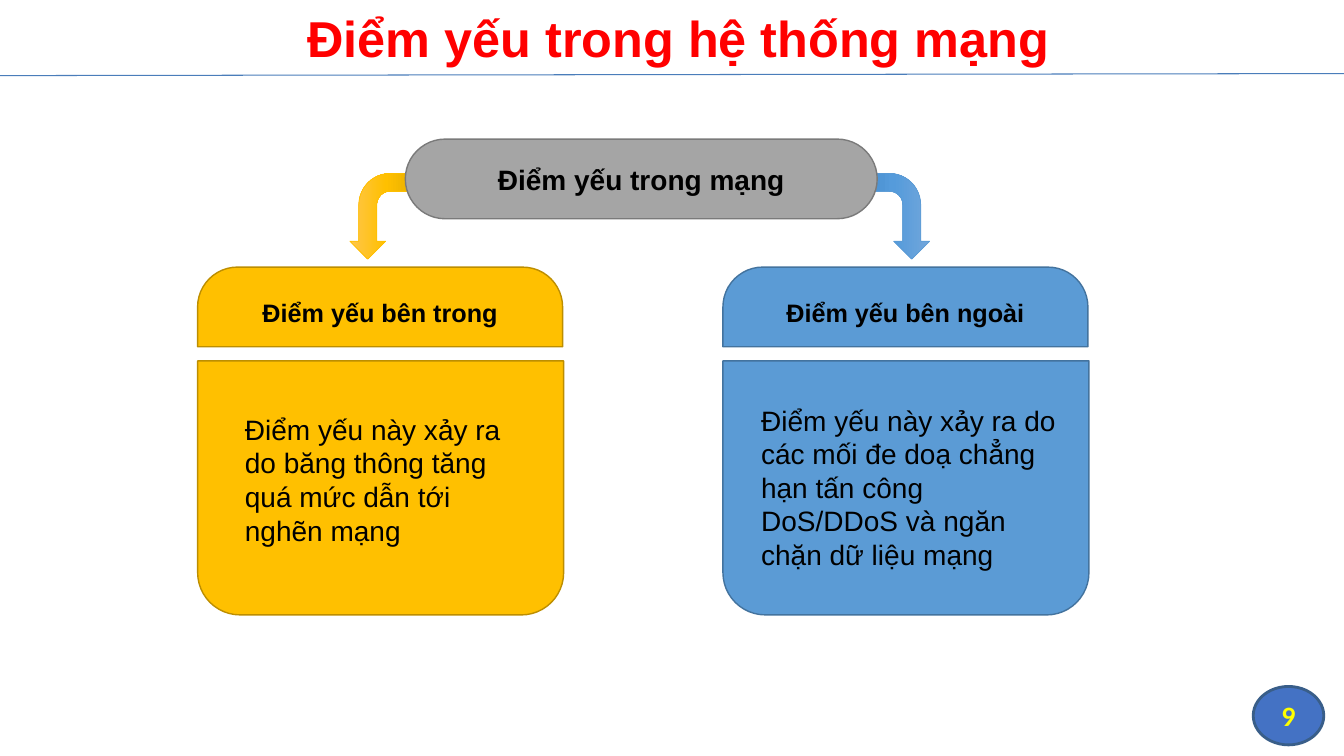
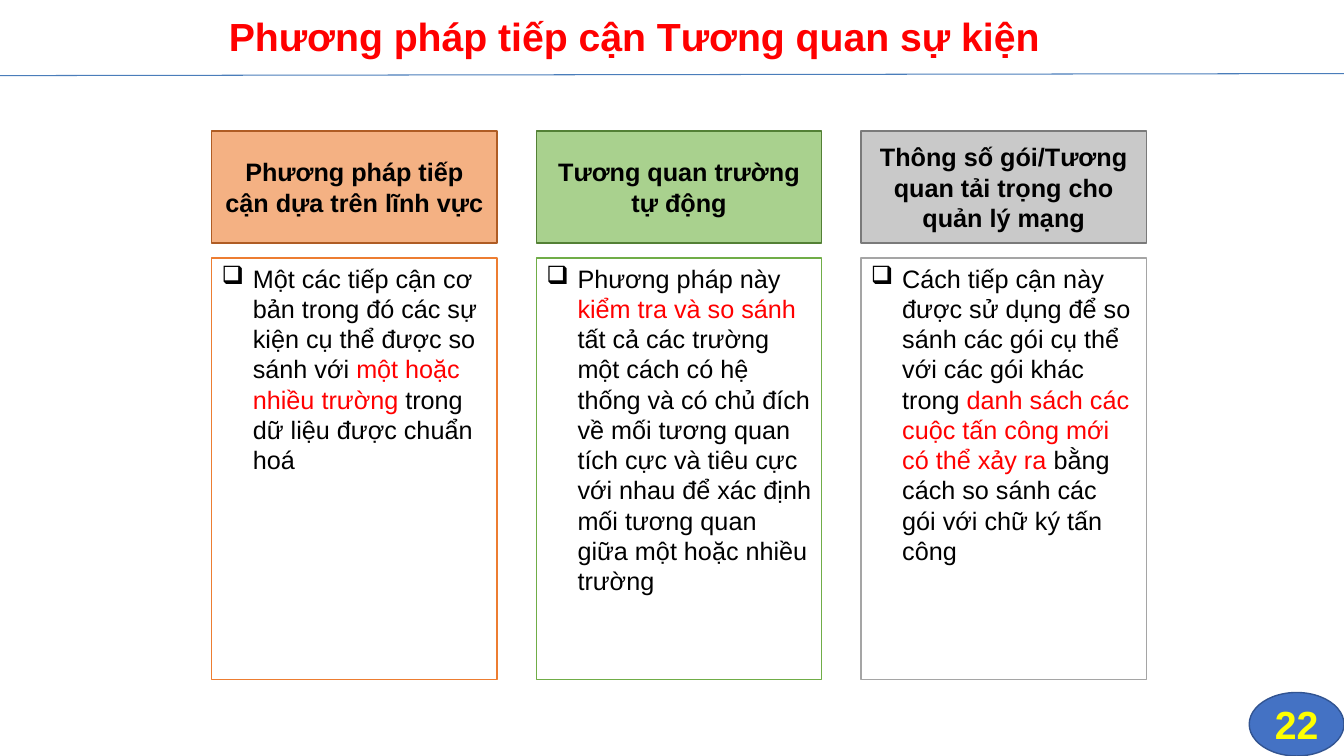
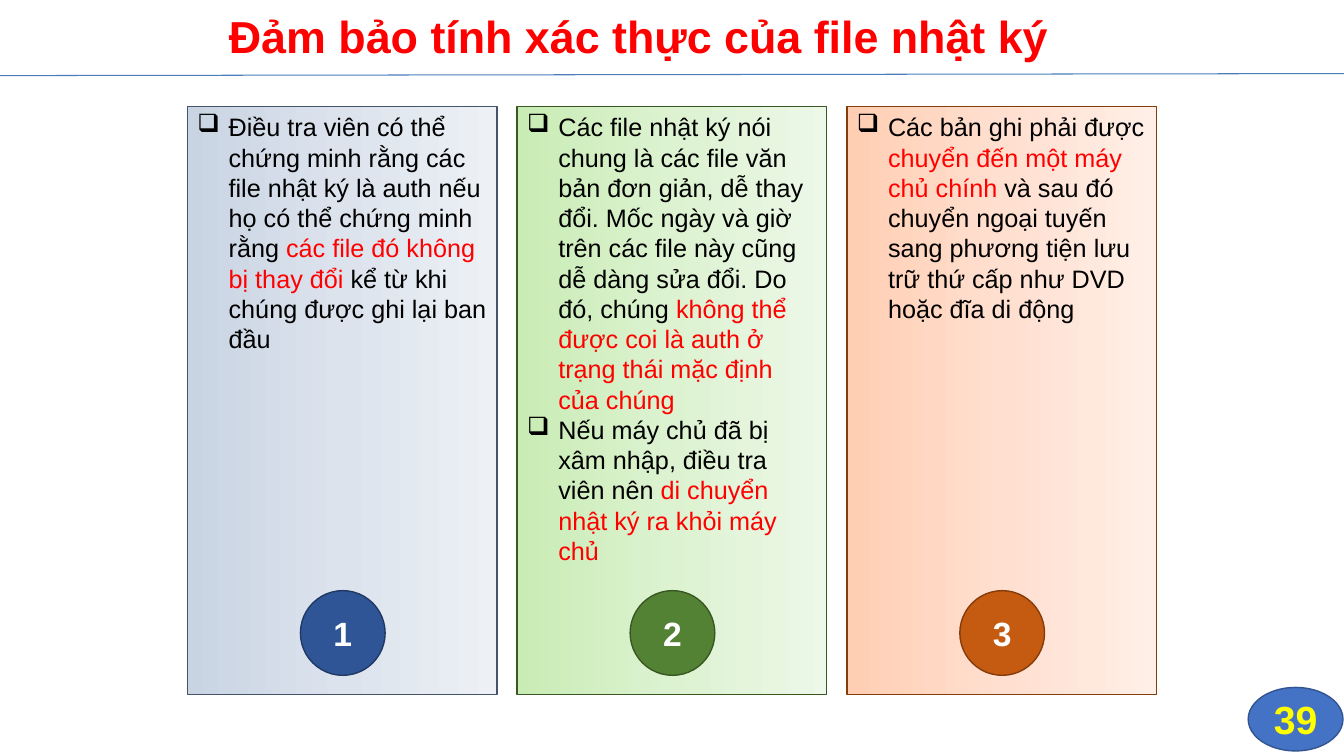
import dataclasses

import lxml.etree
import pptx
import pptx.dml.color
import pptx.enum.shapes
import pptx.enum.text
import pptx.oxml.ns
import pptx.util

Inches = pptx.util.Inches
Pt = pptx.util.Pt
SHAPE = pptx.enum.shapes.MSO_SHAPE
ALIGN = pptx.enum.text.PP_ALIGN
ANCHOR = pptx.enum.text.MSO_ANCHOR
qn = pptx.oxml.ns.qn


@dataclasses.dataclass(frozen=True)
class Theme:
    font: str = "Arial"
    black: str = "000000"
    white: str = "FFFFFF"
    red: str = "FF0000"
    yellow: str = "FFFF00"
    rule: str = "4A7DBA"
    badge: str = "4472C4"
    gold: str = "FFC000"
    blue: str = "5B9BD5"
    grey: str = "A5A5A5"
    edge: str = "7A7A7A"
    small: int = 18
    body: int = 20
    disc: int = 24
    large: int = 28


THEME = Theme()


def tint(code):
    return pptx.dml.color.RGBColor.from_string(code)


def style(run, size, color, bold=False, font=THEME.font):
    run.font.name = font
    run.font.size = Pt(size)
    run.font.bold = bold
    run.font.color.rgb = tint(color)


def label(shape, text, size, color=THEME.black, bold=True,
          align=ALIGN.CENTER, anchor=ANCHOR.MIDDLE, font=THEME.font):
    frame = shape.text_frame
    frame.word_wrap = True
    frame.vertical_anchor = anchor
    frame.text = text
    para = frame.paragraphs[0]
    para.alignment = align
    for run in para.runs:
        style(run, size, color, bold, font)


def blend(shape, colors, angle):
    shape.fill.gradient()
    stop = shape._element.spPr.find(".//" + qn("a:gs"))
    lxml.etree.SubElement(stop.getparent(), qn("a:gs")).append(
        lxml.etree.Element(qn("a:srgbClr"), val=colors[-1]))
    for index, (stop, color) in enumerate(zip(shape.fill.gradient_stops, colors)):
        stop.position = index / (len(colors) - 1)
        stop.color.rgb = tint(color)
    shape.fill.gradient_angle = angle


def draw(slide, kind, box, fill, line, width=1, adjust=(), turn=0, angle=0):
    shape = slide.shapes.add_shape(kind, *map(Inches, box))
    shape.shadow.inherit = False
    for index, value in enumerate(adjust):
        shape.adjustments[index] = value
    if isinstance(fill, str):
        shape.fill.solid()
        shape.fill.fore_color.rgb = tint(fill)
    else:
        blend(shape, fill, angle)
    shape.line.color.rgb = tint(line)
    shape.line.width = Pt(width)
    shape.rotation = turn
    return shape


def note(slide, box, text):
    shape = slide.shapes.add_textbox(*map(Inches, box))
    label(shape, text, THEME.body, bold=False, align=ALIGN.LEFT, anchor=ANCHOR.TOP)


def bullets(shape, items):
    frame = shape.text_frame
    frame.word_wrap = True
    frame.vertical_anchor = ANCHOR.TOP
    for index, parts in enumerate(items):
        para = frame.add_paragraph() if index else frame.paragraphs[0]
        para.alignment = ALIGN.LEFT
        props = para._p.get_or_add_pPr()
        props.set("marL", str(Inches(0.31)))
        props.set("indent", str(-Inches(0.31)))
        lxml.etree.SubElement(props, qn("a:buChar"), char="❑")
        for order, text in enumerate(parts):
            run = para.add_run()
            run.text = text
            style(run, THEME.small, THEME.red if order % 2 else THEME.black)


def start(deck, text, size, box=(2.17, 0, 9, 0.77), space=0.9):
    slide = deck.slides.add_slide(deck.slide_layouts[5])
    title = slide.shapes.title
    title.left, title.top, title.width, title.height = map(Inches, box)
    label(title, text, size, THEME.red, align=ALIGN.LEFT)
    title.text_frame.auto_size = pptx.enum.text.MSO_AUTO_SIZE.NONE
    title.text_frame.paragraphs[0].line_spacing = space
    rule = slide.shapes.add_connector(
        pptx.enum.shapes.MSO_CONNECTOR.STRAIGHT,
        Inches(0), Inches(0.75), Inches(13.33), Inches(0.73))
    rule.line.color.rgb = tint(THEME.rule)
    rule.line.width = Pt(0.75)
    lxml.etree.SubElement(rule._element.spPr, qn("a:effectLst"))
    return slide


def badge(slide, text, box, size=THEME.large, font=THEME.font, line="325491", width=1):
    shape = draw(slide, SHAPE.OVAL, box, THEME.badge, line, width)
    label(shape, text, size, THEME.yellow, font=font)


def arrow(slide, left, colors, line, turn, flip=False):
    shape = draw(slide, SHAPE.BENT_ARROW, (left, 1.79, 0.85, 0.71), colors, line,
                 0.5, turn=turn, angle=270)
    if flip:
        shape._element.spPr.xfrm.set("flipH", "1")


def branch(slide, left, head, fill, line):
    draw(slide, SHAPE.ROUND_2_SAME_RECTANGLE, (left, 3.58, 3.63, 2.52),
         fill, line, turn=180)
    shape = draw(slide, SHAPE.ROUND_2_SAME_RECTANGLE, (left, 2.65, 3.62, 0.79),
                 fill, line, adjust=(0.5, 0))
    label(shape, head, THEME.small)


def weak(deck):
    slide = start(deck, "Điểm yếu trong hệ thống mạng", 36, (2.95, 0.02, 7.84, 0.71), 1)
    badge(slide, "9", (12.43, 6.81, 0.7, 0.58), THEME.body, "Calibri", "395E89", 2)
    arrow(slide, 3.4, ("FFC64B", "FFC000", "E3AB00"), THEME.gold, 270, True)
    arrow(slide, 8.44, ("71A6DB", "559BDB", "448ACA"), THEME.blue, 90)
    root = draw(slide, SHAPE.ROUNDED_RECTANGLE, (4.02, 1.38, 4.68, 0.79),
                THEME.grey, THEME.edge, adjust=(0.5,))
    label(root, "Điểm yếu trong mạng", THEME.body)
    branch(slide, 1.96, "Điểm yếu bên trong", THEME.gold, "BD8E00")
    branch(slide, 7.17, "Điểm yếu bên ngoài", THEME.blue, "43739E")
    note(slide, (2.33, 4.04, 2.99, 1.45),
         "Điểm yếu này xảy ra do băng thông tăng quá mức dẫn tới nghẽn mạng")
    note(slide, (7.45, 3.95, 3.15, 1.78),
         "Điểm yếu này xảy ra do các mối đe doạ chẳng hạn tấn công DoS/DDoS "
         "và ngăn chặn dữ liệu mạng")


def methods(deck):
    slide = start(deck, "Phương pháp tiếp cận Tương quan sự kiện", THEME.large)
    cards = (
        ("Phương pháp tiếp cận dựa trên lĩnh vực", "F4B183", "AF5C24", "ED7D31",
         ("Một các tiếp cận cơ bản trong đó các sự kiện cụ thể được so sánh với ",
          "một hoặc nhiều trường ",
          "trong dữ liệu được chuẩn hoá")),
        ("Tương quan trường tự động", "A9D18E", "538035", "70AD47",
         ("Phương pháp này ",
          "kiểm tra và so sánh ",
          "tất cả các trường một cách có hệ thống và có chủ đích về mối tương quan "
          "tích cực và tiêu cực với nhau để xác định mối tương quan giữa một hoặc "
          "nhiều trường")),
        ("Thông số gói/Tương quan tải trọng cho quản lý mạng", "C9C9C9", THEME.edge,
         THEME.grey,
         ("Cách tiếp cận này được sử dụng để so sánh các gói cụ thể với các gói khác trong ",
          "danh sách các cuộc tấn công mới có thể xảy ra ",
          "bằng cách so sánh các gói với chữ ký tấn công")),
    )
    for index, (head, fill, edge, line, parts) in enumerate(cards):
        left = 2.1 + 3.22 * index
        label(draw(slide, SHAPE.RECTANGLE, (left, 1.3, 2.83, 1.11), fill, edge),
              head, THEME.small)
        bullets(draw(slide, SHAPE.RECTANGLE, (left, 2.56, 2.83, 4.18), THEME.white, line),
                [parts])
    badge(slide, "22", (12.39, 6.87, 0.94, 0.63))


def logs(deck):
    slide = start(deck, "Đảm bảo tính xác thực của file nhật ký", 32)
    panels = (
        (("C9D4E3", "DCE3ED", "EDF1F5"), "44546A", "2F5597", "203864",
         [("Điều tra viên có thể chứng minh rằng các file nhật ký là auth nếu họ có thể "
           "chứng minh rằng ",
           "các file đó không bị thay đổi ",
           "kể từ khi chúng được ghi lại ban đầu")]),
        (("C9ECB4", "DCF2D0", "EDF8E8"), "385723", "548235", "385723",
         [("Các file nhật ký nói chung là các file văn bản đơn giản, dễ thay đổi. Mốc ngày "
           "và giờ trên các file này cũng dễ dàng sửa đổi. Do đó, chúng ",
           "không thể được coi là auth ở trạng thái mặc định của chúng"),
          ("Nếu máy chủ đã bị xâm nhập, điều tra viên nên ",
           "di chuyển nhật ký ra khỏi máy chủ")]),
        (("FFCEB3", "FFDFCF", "FFEFE7"), "843C0B", "C55A11", "843C0B",
         [("Các bản ghi phải được ",
           "chuyển đến một máy chủ chính ",
           "và sau đó chuyển ngoại tuyến sang phương tiện lưu trữ thứ cấp như DVD "
           "hoặc đĩa di động")]),
    )
    for index, (colors, edge, fill, line, items) in enumerate(panels):
        left = 1.86 + 3.27 * index
        bullets(draw(slide, SHAPE.RECTANGLE, (left, 1.06, 3.07, 5.83), colors, edge), items)
        disc = draw(slide, SHAPE.OVAL, (left + 1.12, 5.86, 0.84, 0.84), fill, line)
        label(disc, str(index + 1), THEME.disc, THEME.white)
    badge(slide, "39", (12.38, 6.82, 0.94, 0.63))


def main():
    deck = pptx.Presentation()
    deck.slide_width = Inches(13.33)
    deck.slide_height = Inches(7.5)
    weak(deck)
    methods(deck)
    logs(deck)
    deck.save("out.pptx")


if __name__ == "__main__":
    main()
